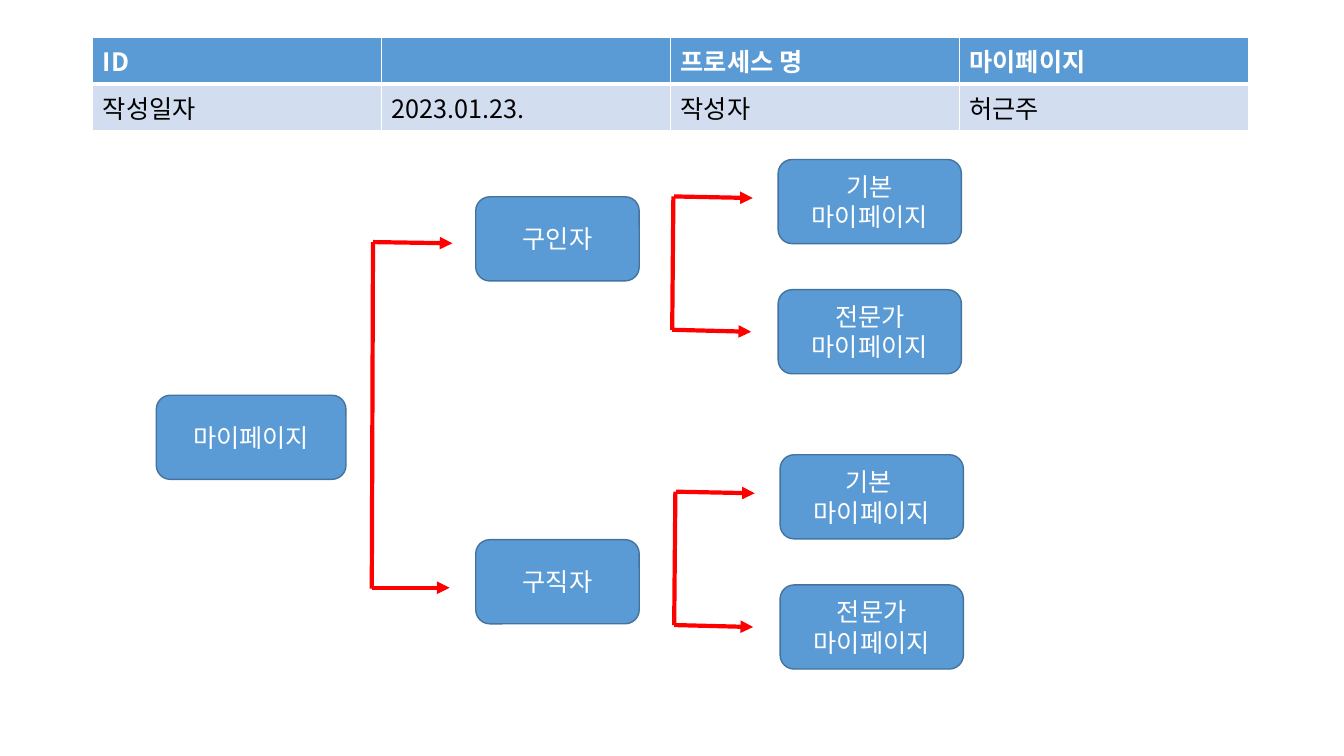
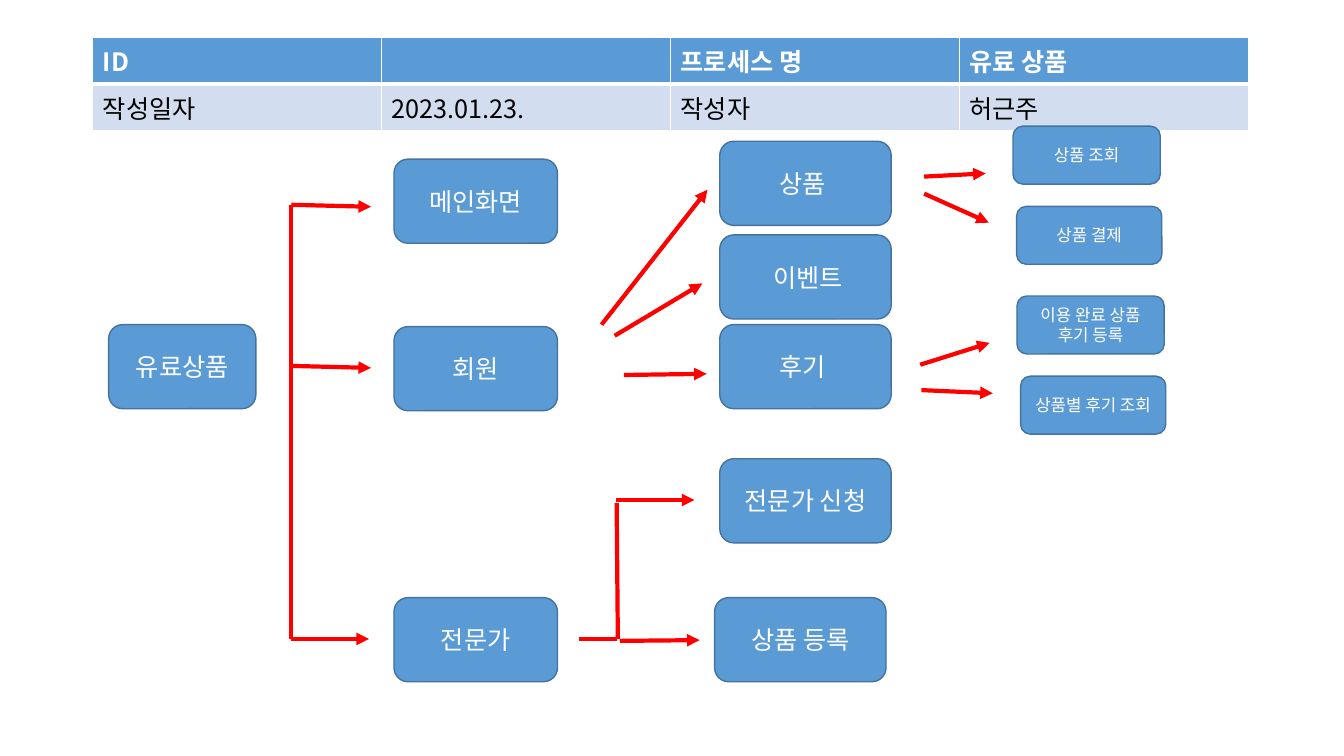
from dataclasses import dataclass
from lxml import etree
from pptx import Presentation, util as u
from pptx.dml.color import RGBColor
from pptx.enum import shapes, text
from pptx.oxml.ns import qn


@dataclass(frozen=True)
class Theme:
    font: str = "Noto Sans CJK KR"
    blue: str = "5B9BD5"
    edge: str = "43739E"
    pale: str = "D2DEEF"
    red: str = "FF0000"
    white: str = "FFFFFF"
    black: str = "000000"
    body: int = 18
    small: int = 12
    thin: int = 1
    thick: int = 3


class Deck:
    def __init__(self, theme):
        self.theme = theme
        self.deck = Presentation()
        self.deck.slide_width = u.Cm(33.87)
        self.deck.slide_height = u.Cm(19.05)

    def start(self, name):
        self.slide = self.deck.slides.add_slide(self.deck.slide_layouts[6])
        self.head(name)

    def paint(self, fill, color):
        fill.solid()
        fill.fore_color.rgb = RGBColor.from_string(color)

    def label(self, para, words, size, color, bold=False):
        run = para.add_run()
        run.text = words
        font = run.font
        font.name = self.theme.font
        font.size = u.Pt(size)
        font.bold = bold
        font.color.rgb = RGBColor.from_string(color)
        east = etree.SubElement(run._r.get_or_add_rPr(), qn("a:ea"))
        east.set("typeface", self.theme.font)

    def border(self, cell, base):
        prop = cell._tc.get_or_add_tcPr()
        for side in "LRTB":
            width = base if side == "B" else self.theme.thin
            line = etree.SubElement(prop, qn("a:ln" + side), w=str(u.Pt(width)))
            fill = etree.SubElement(line, qn("a:solidFill"))
            etree.SubElement(fill, qn("a:srgbClr"), val=self.theme.white)

    def head(self, name):
        t = self.theme
        rows = (
            (("ID", "", "프로세스 명", name), 1.09, t.blue, t.white, True, t.thick),
            (("작성일자", "2023.01.23.", "작성자", "허근주"), 1.04, t.pale, t.black, False, t.thin),
        )
        grid = self.slide.shapes.add_table(
            2, 4, u.Cm(2.34), u.Cm(0.95), u.Cm(29.12), u.Cm(2.13)).table
        for r, (words, high, back, color, bold, base) in enumerate(rows):
            grid.rows[r].height = u.Cm(high)
            for c, word in enumerate(words):
                cell = grid.cell(r, c)
                self.border(cell, base)
                self.paint(cell.fill, back)
                if word:
                    self.label(cell.text_frame.paragraphs[0], word, t.body, color, bold)

    def box(self, words, x, y, wide, high=2.12, size=None):
        t = self.theme
        box = self.slide.shapes.add_shape(
            shapes.MSO_SHAPE.ROUNDED_RECTANGLE, u.Cm(x), u.Cm(y), u.Cm(wide), u.Cm(high))
        box.shadow.inherit = False
        self.paint(box.fill, t.blue)
        self.paint(box.line.fill, t.edge)
        box.line.width = u.Pt(t.thin)
        frame = box.text_frame
        frame.word_wrap = True
        frame.vertical_anchor = text.MSO_ANCHOR.MIDDLE
        for n, part in enumerate(words.split("\n")):
            para = frame.add_paragraph() if n else frame.paragraphs[0]
            para.alignment = text.PP_ALIGN.CENTER
            self.label(para, part, size or t.body, t.white)

    def line(self, x, y, end, low):
        link = self.slide.shapes.add_connector(
            shapes.MSO_CONNECTOR.STRAIGHT, u.Cm(x), u.Cm(y), u.Cm(end), u.Cm(low))
        self.paint(link.line.fill, self.theme.red)
        link.line.width = u.Pt(self.theme.thick)
        etree.SubElement(link._element.spPr, qn("a:effectLst"))
        return link

    def arrow(self, x, y, end, low):
        link = self.line(x, y, end, low)
        etree.SubElement(link.line._get_or_add_ln(), qn("a:tailEnd"), type="triangle")


deck = Deck(Theme())

deck.start("마이페이지")
deck.box("마이페이지", 3.94, 9.96, 4.78)
deck.line(9.4, 6.1, 9.37, 14.83)
deck.arrow(9.4, 6.1, 11.4, 6.13)
deck.arrow(9.37, 14.81, 11.33, 14.81)
for role, y in (("구인자", 4.96), ("구직자", 13.6)):
    deck.box(role, 11.99, y, 4.12)
for basic, dx, dy in (("기본", 0, 0), ("기본 ", 0.05, 7.44)):
    deck.line(16.97 + dx, 4.95 + dy, 16.94 + dx, 8.31 + dy)
    deck.arrow(16.99 + dx, 4.95 + dy, 18.97 + dx, 4.99 + dy)
    deck.arrow(16.94 + dx, 8.31 + dy, 18.93 + dx, 8.36 + dy)
    deck.box(basic + "\n마이페이지", 19.61 + dx, 4.02 + dy, 4.62)
    deck.box("전문가 마이페이지", 19.61 + dx, 7.3 + dy, 4.62)

deck.start("유료 상품")
deck.box("유료상품", 2.74, 8.18, 3.71)
for role, y in (("메인화면", 4.01), ("회원", 8.23), ("전문가", 15.06)):
    deck.box(role, 9.93, y, 4.12)
for task, x, y in (
    ("상품 ", 18.14, 3.56),
    (" 이벤트", 18.14, 5.92),
    ("후기 ", 18.14, 8.18),
    ("전문가 신청", 18.14, 11.56),
    ("상품 등록", 18.01, 15.06),
):
    deck.box(task, x, y, 4.32)
for first, second, dx, dy in (
    ("상품 조회", "상품 결제", 0, 0),
    ("이용 완료 상품 후기 등록", "상품별 후기 조회", 0.1, 4.28),
):
    deck.box(first, 25.53 + dx, 3.18 + dy, 3.71, 1.46, deck.theme.small)
    deck.box(second, 25.62 + dx, 5.2 + dy, 3.66, 1.46, deck.theme.small)
for ends in (
    (7.34, 5.16, 7.34, 16.1),
    (15.54, 12.67, 15.57, 16.1),
    (14.6, 16.1, 15.54, 16.1),
):
    deck.line(*ends)
for ends in (
    (7.34, 5.16, 9.35, 5.21),
    (7.34, 9.22, 9.35, 9.27),
    (7.34, 16.1, 9.3, 16.1),
    (15.16, 8.18, 17.83, 4.78),
    (15.49, 8.46, 17.7, 7.14),
    (15.72, 9.45, 17.81, 9.42),
    (15.52, 12.6, 17.5, 12.6),
    (15.62, 16.15, 17.63, 16.13),
    (23.29, 4.45, 24.84, 4.37),
    (23.29, 4.88, 24.92, 5.61),
    (23.19, 9.19, 24.94, 8.64),
    (23.22, 9.83, 25.02, 9.91),
):
    deck.arrow(*ends)

deck.deck.save("out.pptx")
